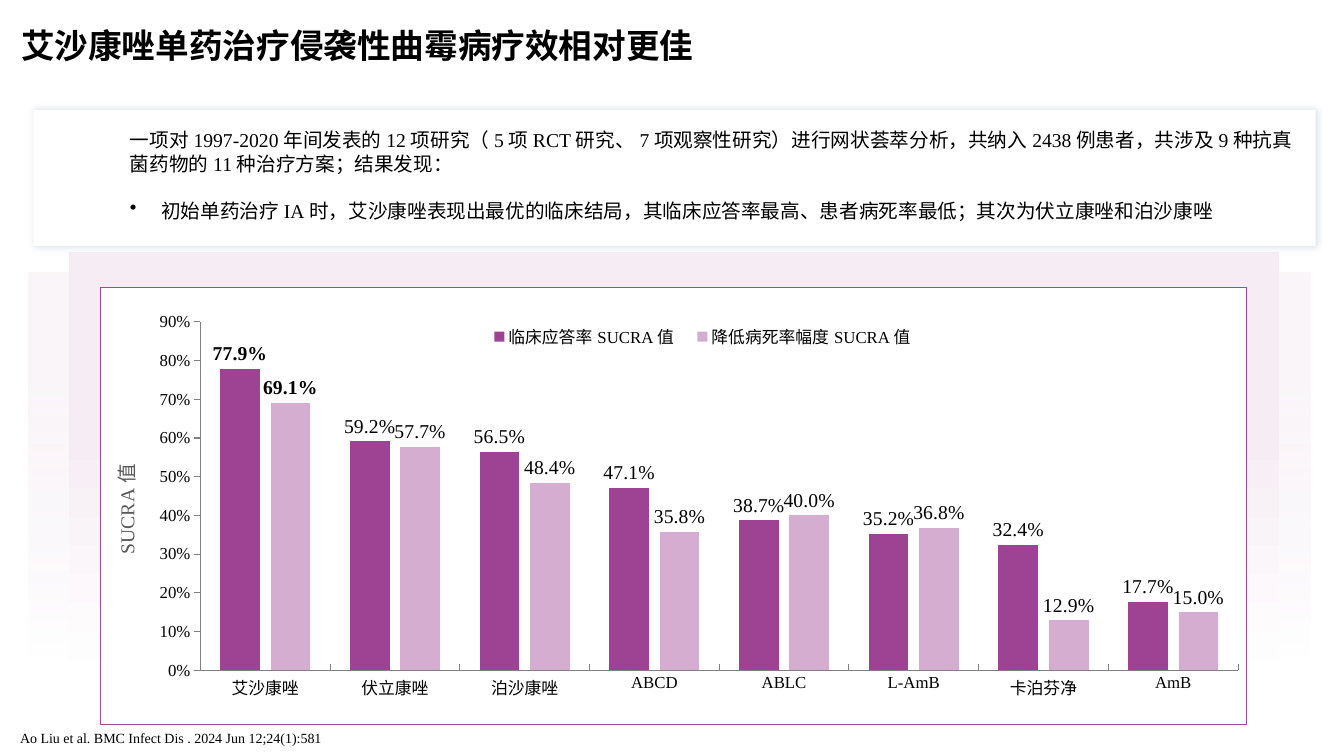
from dataclasses import dataclass

from lxml import etree
from pptx import Presentation
from pptx.chart.data import CategoryChartData
from pptx.dml.color import RGBColor
from pptx.enum.chart import XL_CHART_TYPE, XL_LABEL_POSITION, XL_LEGEND_POSITION, XL_TICK_MARK
from pptx.enum.shapes import MSO_SHAPE
from pptx.enum.text import MSO_ANCHOR, PP_ALIGN
from pptx.oxml import parse_xml
from pptx.oxml.ns import nsdecls, qn
from pptx.util import Inches, Pt

COLUMN = XL_CHART_TYPE.COLUMN_CLUSTERED
OUT_END = XL_LABEL_POSITION.OUTSIDE_END
TOP = XL_LEGEND_POSITION.TOP
TICK_IN, TICK_OUT = XL_TICK_MARK.INSIDE, XL_TICK_MARK.OUTSIDE
RECT = MSO_SHAPE.RECTANGLE
MIDDLE = MSO_ANCHOR.MIDDLE
LEFT = PP_ALIGN.LEFT


@dataclass(frozen=True)
class Theme:
    latin: str = "Times New Roman"
    asian: str = "Noto Sans CJK SC"
    black: str = "000000"
    white: str = "FFFFFF"
    blush: str = "F6EDF4"
    border: str = "A24A98"
    dark: str = "9E4294"
    light: str = "D4ADD0"
    axis: str = "808080"
    gray: str = "595959"
    shade: str = "156082"
    head: float = 24
    body: float = 14
    tick: float = 12
    note: float = 10


THEME = Theme()

TITLE = "艾沙康唑单药治疗侵袭性曲霉病疗效相对更佳"
INTRO = ("一项对1997-2020年间发表的12项研究（5项RCT研究、7项观察性研究）进行网状荟萃分析，"
         "共纳入2438例患者，共涉及9种抗真菌药物的11种治疗方案；结果发现：")
POINT = ("初始单药治疗IA时，艾沙康唑表现出最优的临床结局，其临床应答率最高、患者病死率最低；"
         "其次为伏立康唑和泊沙康唑")
CITE = "Ao Liu et al. BMC Infect Dis . 2024 Jun 12;24(1):581"
DRUGS = ["艾沙康唑", "伏立康唑", "泊沙康唑", "ABCD", "ABLC", "L-AmB", "卡泊芬净", "AmB"]
SERIES = [
    ("临床应答率SUCRA值", THEME.dark, [0.779, 0.592, 0.565, 0.471, 0.387, 0.352, 0.324, 0.177]),
    ("降低病死率幅度SUCRA值", THEME.light, [0.691, 0.577, 0.484, 0.358, 0.4, 0.368, 0.129, 0.15]),
]


def rgb(color):
    return RGBColor.from_string(color)


def style(font, size, color=THEME.black, bold=False):
    font.size = Pt(size)
    font.bold = bold
    font.color.rgb = rgb(color)
    font.name = THEME.latin
    etree.SubElement(font._rPr, qn("a:ea")).set("typeface", THEME.asian)


def write(para, text, size, color=THEME.black, bold=False):
    para.text = text
    for run in para.runs:
        style(run.font, size, color, bold)


def place(shape, box):
    shape.left, shape.top, shape.width, shape.height = map(Inches, box)


def add_rect(slide, box):
    shape = slide.shapes.add_shape(RECT, *map(Inches, box))
    shape.shadow.inherit = False
    shape.fill.solid()
    shape.fill.fore_color.rgb = rgb(THEME.white)
    shape.line.fill.background()
    return shape


def add_text(slide, box):
    frame = slide.shapes.add_textbox(*map(Inches, box)).text_frame
    frame.word_wrap = True
    return frame


def add_title(slide, box):
    title = slide.shapes.title
    place(title, box)
    title.text_frame.vertical_anchor = MIDDLE
    para = title.text_frame.paragraphs[0]
    write(para, TITLE, THEME.head, bold=True)
    para.alignment = LEFT


def add_fade(slide, box, start, alpha=100):
    fill = add_rect(slide, box).fill
    fill.gradient()
    fill.gradient_angle = 270
    stops = zip(fill.gradient_stops, (start, 1), (THEME.blush, THEME.white))
    for stop, pos, color in stops:
        stop.position = pos
        stop.color.rgb = rgb(color)
    if alpha < 100:
        tint = slide.shapes[-1]._element.find(".//" + qn("a:gs") + "/" + qn("a:srgbClr"))
        etree.SubElement(tint, qn("a:alpha")).set("val", str(alpha * 1000))


def add_panel(slide, box):
    left, top, width, height = box
    add_fade(slide, (left - 0.72, top - 0.14, width + 1.36, 3.87), 0.29, 50)
    add_fade(slide, (left - 0.32, top - 0.35, width + 0.65, 4.33), 0.41)
    frame = add_rect(slide, box)
    frame.line.color.rgb = rgb(THEME.border)
    frame.line.width = Pt(0.75)
    add_chart(slide, (left - 0.07, top + 0.16, width + 0.14, height - 0.24))


def set_layout(parent, index, inner=False, **sizes):
    for old in parent.findall(qn("c:layout")):
        parent.remove(old)
    layout = parse_xml(f'<c:layout {nsdecls("c")}><c:manualLayout/></c:layout>')
    parts = [("layoutTarget", "inner")] if inner else []
    parts += [("xMode", "edge"), ("yMode", "edge"), *sizes.items()]
    for tag, value in parts:
        etree.SubElement(layout[0], qn("c:" + tag)).set("val", str(value))
    parent.insert(index, layout)


def style_axis(axis, mark):
    axis.has_major_gridlines = False
    axis.major_tick_mark = mark
    axis.format.line.color.rgb = rgb(THEME.axis)
    axis.format.line.width = Pt(0.75)
    style(axis.tick_labels.font, THEME.tick)


def style_series(item, color):
    item.format.fill.solid()
    item.format.fill.fore_color.rgb = rgb(color)
    labels = item.data_labels
    labels.show_value = True
    labels.number_format = "0.0%"
    labels.number_format_is_linked = False
    labels.position = OUT_END
    style(labels.font, THEME.body)
    first = item.points[0].data_label
    style(first.font, THEME.body, bold=True)
    first.position = OUT_END


def add_chart(slide, box):
    data = CategoryChartData(number_format="0.0%")
    data.categories = DRUGS
    for name, _, values in SERIES:
        data.add_series(name, values)
    chart = slide.shapes.add_chart(COLUMN, *map(Inches, box), data).chart
    chart.has_title = False
    style(chart.font, THEME.note)
    plot = chart.plots[0]
    plot.vary_by_categories = False
    plot.gap_width = 100
    plot.overlap = -27
    for item, (_, color, _) in zip(plot.series, SERIES):
        style_series(item, color)

    style_axis(chart.category_axis, TICK_IN)
    scale = chart.value_axis
    style_axis(scale, TICK_OUT)
    scale.minimum_scale, scale.maximum_scale, scale.major_unit = 0, 0.9, 0.1
    scale.tick_labels.number_format = "0%"
    scale.tick_labels.number_format_is_linked = False
    label = scale.axis_title
    write(label.text_frame.paragraphs[0], "SUCRA值", THEME.body, THEME.gray)
    turn = label._element.find(".//" + qn("a:bodyPr"))
    turn.set("rot", "-5400000")
    turn.set("vert", "horz")

    chart.has_legend = True
    legend = chart.legend
    legend.position = TOP
    legend.include_in_layout = False
    style(legend.font, THEME.tick)
    set_layout(legend._element, 1, x=0.33, y=0.05, w=0.39, h=0.06)
    set_layout(label._element, 1, x=0.01, y=0.38)
    area = chart._chartSpace.find(".//" + qn("c:plotArea"))
    set_layout(area, 0, True, x=0.092, y=0.045, w=0.895, h=0.843)


def add_brief(slide, box):
    left, top, width, _ = box
    card = add_rect(slide, box)
    effects = card._element.spPr.find(qn("a:effectLst"))
    effects.append(parse_xml(
        f'<a:outerShdw {nsdecls("a")} blurRad="{Pt(5)}" dist="0" dir="0" algn="ctr" rotWithShape="0">'
        f'<a:srgbClr val="{THEME.shade}"><a:alpha val="20000"/></a:srgbClr></a:outerShdw>'))
    frame = add_text(slide, (left + 0.86, top + 0.13, width - 0.98, 0.97))
    write(frame.paragraphs[0], INTRO, THEME.body)
    para = frame.add_paragraph()
    props = para._p.get_or_add_pPr()
    props.set("marL", str(Inches(0.31)))
    props.set("indent", str(Inches(-0.31)))
    etree.SubElement(props, qn("a:buChar")).set("char", "•")
    para.line_spacing = 2.0
    write(para, POINT, THEME.body)


def add_cite(slide, box):
    write(add_text(slide, box).paragraphs[0], CITE, THEME.note)


def main():
    deck = Presentation()
    deck.slide_width, deck.slide_height = Inches(13.33), Inches(7.5)
    slide = deck.slides.add_slide(deck.slide_layouts[5])
    add_title(slide, (0.11, 0.12, 11.5, 0.66))
    add_panel(slide, (1, 2.85, 11.36, 4.34))
    add_brief(slide, (0.33, 1.09, 12.72, 1.35))
    add_cite(slide, (0.1, 7.19, 11.41, 0.27))
    deck.save("out.pptx")


if __name__ == "__main__":
    main()
